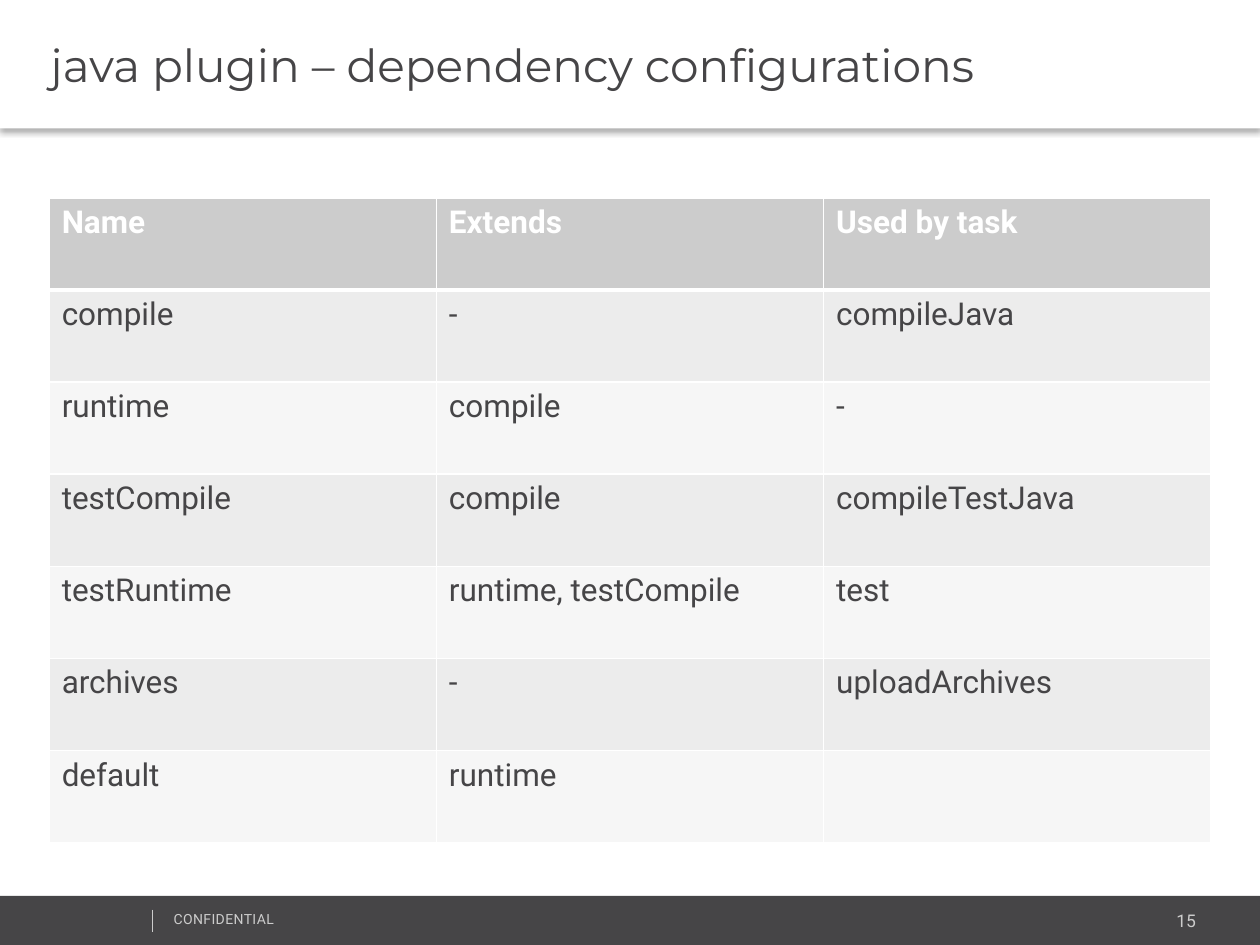
from lxml import etree
from pptx import Presentation
from pptx.dml.color import RGBColor
from pptx.enum.shapes import MSO_CONNECTOR, MSO_SHAPE
from pptx.enum.text import MSO_ANCHOR, PP_ALIGN
from pptx.oxml import parse_xml
from pptx.oxml.ns import nsdecls, qn
from pptx.util import Inches, Pt

LEFT, RIGHT = PP_ALIGN.LEFT, PP_ALIGN.RIGHT
MIDDLE = MSO_ANCHOR.MIDDLE
RECT = MSO_SHAPE.RECTANGLE
STRAIGHT = MSO_CONNECTOR.STRAIGHT

COLORS = {
    "white": "FFFFFF",
    "dark": "464547",
    "gray": "CCCCCC",
    "odd": "ECECEC",
    "even": "F6F6F6",
    "black": "000000",
}
ROWS = [
    ("Name", "Extends", "Used by task"),
    ("compile", "-", "compileJava"),
    ("runtime", "compile", "-"),
    ("testCompile", "compile", "compileTestJava"),
    ("testRuntime", "runtime, testCompile", "test"),
    ("archives", "-", "uploadArchives"),
    ("default", "runtime", ""),
]


def color(name):
    """Return the named colour."""
    return RGBColor.from_string(COLORS[name])


def paint(item, name):
    """Give a shape or cell a solid fill."""
    item.fill.solid()
    item.fill.fore_color.rgb = color(name)


def style(para, size, name, face="Roboto", bold=False):
    """Set the font of a paragraph."""
    font = para.font
    font.size, font.name, font.bold = Pt(size), face, bold
    font.color.rgb = color(name)


def place(shape, left, top, width, height):
    """Move and size a shape in inches."""
    shape.left, shape.top = Inches(left), Inches(top)
    shape.width, shape.height = Inches(width), Inches(height)


def add_title(slide, text):
    """Fill the title band and give it a soft shadow."""
    title = slide.shapes.title
    place(title, 0, 0, 10, 1.02)
    paint(title, "white")
    title.line.fill.background()
    title._element.spPr.append(parse_xml(
        f'<a:effectLst {nsdecls("a")}><a:outerShdw blurRad="{Pt(3.1)}" '
        f'dist="{Pt(2)}" dir="5400000" algn="t" rotWithShape="0">'
        f'<a:srgbClr val="{COLORS["black"]}"><a:alpha val="30000"/></a:srgbClr>'
        "</a:outerShdw></a:effectLst>"))
    frame = title.text_frame
    frame.text = text
    frame.word_wrap = True
    frame.vertical_anchor = MIDDLE
    frame.margin_left, frame.margin_right = Inches(0.4), Inches(0.1)
    para = frame.paragraphs[0]
    para.alignment = LEFT
    style(para, 26, "dark", "Montserrat")


def add_edges(cell, base):
    """Draw white borders round a cell."""
    props = cell._tc.get_or_add_tcPr()
    widths = {"L": 1, "R": 1, "T": 3 if base == 1 else 1, "B": 3 if base == 0 else 1}
    for side, width in widths.items():
        props.append(parse_xml(
            f'<a:ln{side} {nsdecls("a")} w="{Pt(width)}"><a:solidFill>'
            f'<a:srgbClr val="{COLORS["white"]}"/></a:solidFill></a:ln{side}>'))


def add_grid(slide):
    """Add the table of configurations."""
    grid = slide.shapes.add_table(
        len(ROWS), len(ROWS[0]), Inches(0.39), Inches(1.57),
        Inches(9.22), Inches(5.12)).table
    for r, row in enumerate(ROWS):
        head = r == 0
        fill = "gray" if head else "odd" if r % 2 else "even"
        for c, text in enumerate(row):
            cell = grid.cell(r, c)
            cell.text = text
            style(cell.text_frame.paragraphs[0], 18,
                  "white" if head else "dark", bold=head)
            add_edges(cell, r)
            paint(cell, fill)


def add_label(slide, text, box, size, align=LEFT):
    """Add a small footer text and return its paragraph."""
    label = slide.shapes.add_textbox(*map(Inches, box))
    label.text_frame.word_wrap = True
    para = label.text_frame.paragraphs[0]
    para.text = text
    para.alignment = align
    style(para, size, "gray")
    return para


def add_foot(slide):
    """Add the footer bar, its rule and its texts."""
    bar = slide.shapes.add_shape(
        RECT, 0, Inches(7.11), Inches(10), Inches(0.4))
    bar.shadow.inherit = False
    paint(bar, "dark")
    bar.line.fill.background()
    add_label(slide, "15", (7.96, 7.17, 1.63, 0.27), 10, RIGHT)
    para = add_label(slide, "CONFIDENTIAL", (1.28, 7.18, 2.53, 0.24), 8)
    para.runs[0]._r.get_or_add_rPr().set("spc", "20")
    rule = slide.shapes.add_connector(
        STRAIGHT, Inches(1.21), Inches(7.22), Inches(1.21), Inches(7.4))
    rule.line.color.rgb = color("gray")
    rule.line.width = Pt(0.25)
    etree.SubElement(rule._element.spPr, qn("a:effectLst"))


def main():
    """Build and save the slide."""
    deck = Presentation()
    deck.slide_width, deck.slide_height = Inches(10), Inches(7.5)
    slide = deck.slides.add_slide(deck.slide_layouts[5])
    add_foot(slide)
    add_grid(slide)
    add_title(slide, "java plugin – dependency configurations")
    deck.save("out.pptx")


if __name__ == "__main__":
    main()
